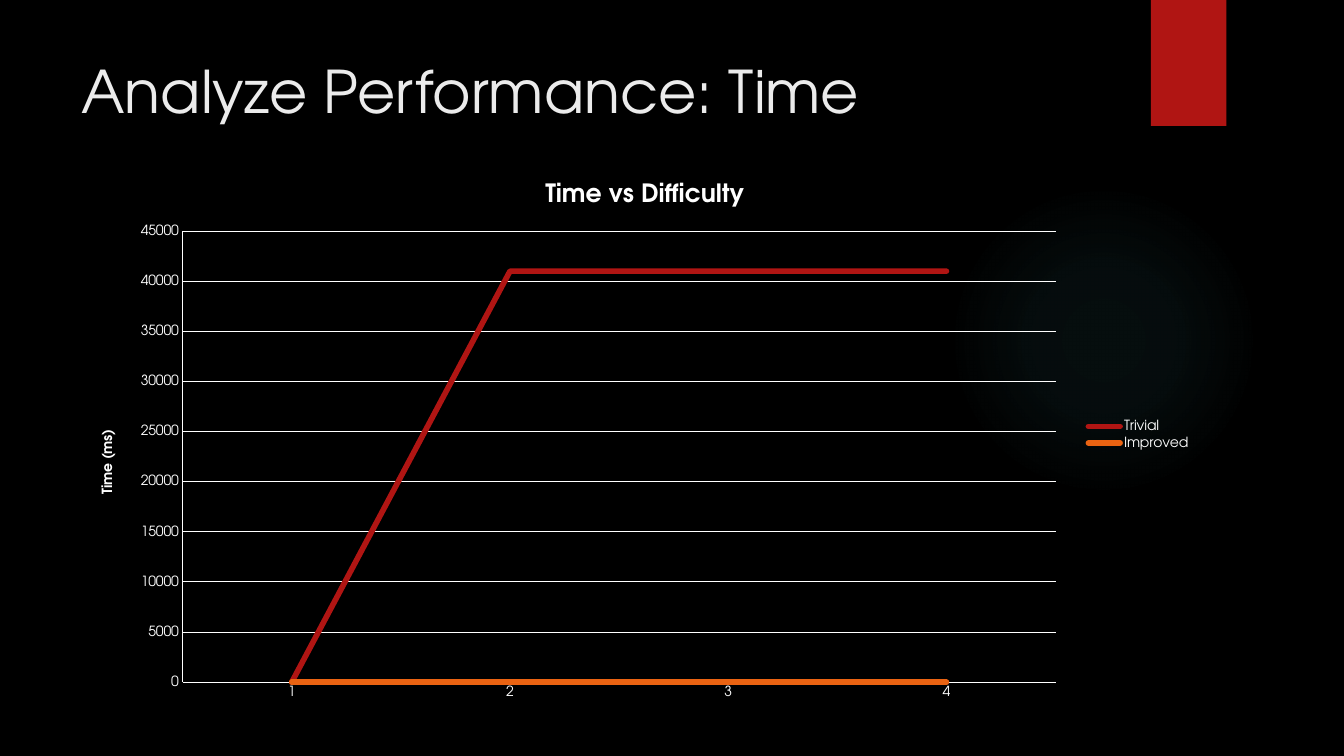
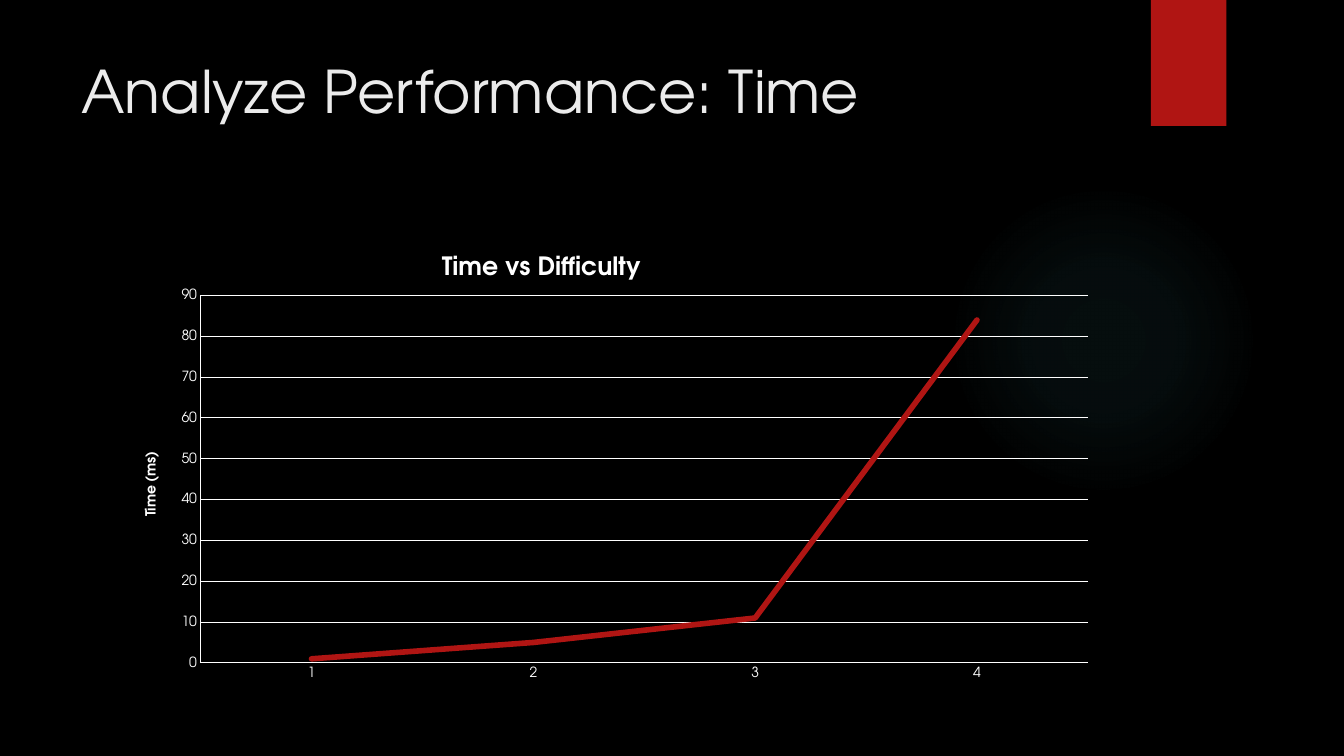
from lxml import etree
from pptx import Presentation
from pptx.chart.data import CategoryChartData
from pptx.dml.color import RGBColor
from pptx.enum.chart import XL_CHART_TYPE, XL_LEGEND_POSITION, XL_TICK_MARK
from pptx.enum.shapes import MSO_SHAPE
from pptx.enum.text import MSO_ANCHOR, MSO_AUTO_SIZE, PP_ALIGN
from pptx.oxml import parse_xml
from pptx.util import Emu, Pt

# Constants
LINE_CHART = XL_CHART_TYPE.LINE
LEGEND_RIGHT = XL_LEGEND_POSITION.RIGHT
NO_TICK = XL_TICK_MARK.NONE
ELLIPSE, RECTANGLE = MSO_SHAPE.OVAL, MSO_SHAPE.RECTANGLE
ALIGN_LEFT = PP_ALIGN.LEFT
TITLE_ONLY = 5
EMU_PER_PX = 9525
DRAWING = "http://schemas.openxmlformats.org/drawingml/2006/main"
CHART = "http://schemas.openxmlformats.org/drawingml/2006/chart"

# Shared look
FONT = "TeX Gyre Adventor"
BLACK, WHITE, OFF_WHITE = "000000", "FFFFFF", "EBEBEB"
RED, ORANGE, TEAL = "B01513", "EA6312", "50B9C1"
TITLE_FONT = {"name": FONT, "size": Pt(42), "bold": False}
CHART_FONT = {"name": FONT, "size": Pt(10), "bold": False}
CHART_TITLE_FONT = {"name": FONT, "size": Pt(18), "bold": True}
AXIS_TITLE_FONT = {"name": FONT, "size": Pt(10), "bold": True}
TITLE_FRAME = {"vertical_anchor": MSO_ANCHOR.TOP, "word_wrap": True,
               "auto_size": MSO_AUTO_SIZE.NONE}
NO_TICKS = {"major_tick_mark": NO_TICK, "minor_tick_mark": NO_TICK}


def px(length):
    return Emu(length * EMU_PER_PX)


def color(hex_string):
    return RGBColor.from_string(hex_string)


def apply(target, values):
    for name, value in values.items():
        setattr(target, name, value)


def apply_font(font, values, hex_string):
    apply(font, values)
    font.color.rgb = color(hex_string)


def paint_line(line, hex_string, width):
    line.color.rgb = color(hex_string)
    line.width = Pt(width)


def set_layout(parent, index, inner=False, **fractions):
    """Place a chart part by fractions of the chart's size."""
    for old in parent.xpath("./c:layout"):
        parent.remove(old)
    layout = etree.Element(f"{{{CHART}}}layout")
    manual = etree.SubElement(layout, f"{{{CHART}}}manualLayout")
    values = {"layoutTarget": "inner"} if inner else {}
    values.update(xMode="edge", yMode="edge", **fractions)
    for name, value in values.items():
        etree.SubElement(manual, f"{{{CHART}}}{name}", val=str(value))
    parent.insert(index, parse_xml(etree.tostring(layout)))


class Deck:
    def __init__(self):
        self.presentation = Presentation()
        self.presentation.slide_width = px(1280)
        self.presentation.slide_height = px(720)
        self.master = self.presentation.slide_master
        background = self.master.background.fill
        background.solid()
        background.fore_color.rgb = color(BLACK)
        self.slide = None

    def add_slide(self, title):
        layout = self.presentation.slide_layouts[TITLE_ONLY]
        self.slide = self.presentation.slides.add_slide(layout)
        self.title(title)

    def title(self, text):
        shape = self.slide.shapes.title
        apply(shape, {"left": px(68), "top": px(47),
                      "width": px(988), "height": px(147)})
        frame = shape.text_frame
        frame.text = text
        apply(frame, TITLE_FRAME)
        paragraph = frame.paragraphs[0]
        paragraph.alignment = ALIGN_LEFT
        apply_font(paragraph.runs[0].font, TITLE_FONT, OFF_WHITE)

    def shape(self, kind, left, top, width, height, fill):
        shape = self.slide.shapes.add_shape(
            kind, px(left), px(top), px(width), px(height))
        shape.shadow.inherit = False
        shape.fill.solid()
        shape.fill.fore_color.rgb = color(fill)
        shape.line.fill.background()
        return shape

    def glow(self, left, top, size, hex_string, stops):
        shape = self.shape(ELLIPSE, left, top, size, size, hex_string)
        stop_xml = "".join(
            f'<a:gs pos="{position * 1000}"><a:srgbClr val="{hex_string}">'
            f'<a:alpha val="{alpha * 1000}"/></a:srgbClr></a:gs>'
            for position, alpha in stops)
        gradient = parse_xml(
            f'<a:gradFill xmlns:a="{DRAWING}"><a:gsLst>{stop_xml}</a:gsLst>'
            '<a:path path="circle"><a:fillToRect l="50000" t="50000" '
            'r="50000" b="50000"/></a:path></a:gradFill>')
        solid = shape.element.xpath("./p:spPr/a:solidFill")[0]
        solid.getparent().replace(solid, gradient)
        return shape

    def ribbon(self, left, top, width, height):
        shape = self.shape(RECTANGLE, left, top, width, height, RED)
        shape.element.xpath("./p:spPr/a:effectLst")[0].append(parse_xml(
            f'<a:outerShdw xmlns:a="{DRAWING}" blurRad="{Pt(3)}" '
            f'dist="{Pt(2)}" dir="5400000" rotWithShape="0">'
            f'<a:srgbClr val="{BLACK}"><a:alpha val="45000"/></a:srgbClr>'
            '</a:outerShdw>'))
        return shape

    def move_to_master(self, shapes):
        """Put shapes behind the master's placeholders."""
        for index, shape in enumerate(shapes):
            properties = shape.element.xpath("./p:nvSpPr/p:cNvPr")[0]
            properties.set("id", str(100 + index))
            self.master.shapes.element.insert(2 + index, shape.element)

    def line_chart(self, box, series, maximum, step, plot_box, title_at,
                   legend=False):
        data = CategoryChartData()
        data.categories = ["1", "2", "3", "4"]
        for name, values, _ in series:
            data.add_series(name, values)
        chart = self.slide.shapes.add_chart(
            LINE_CHART, *map(px, box), data).chart
        apply_font(chart.font, CHART_FONT, WHITE)

        # Title and legend
        chart.has_title = True
        self.caption(chart.chart_title, "Time vs Difficulty", CHART_TITLE_FONT)
        chart.has_legend = legend
        if legend:
            chart.legend.position = LEGEND_RIGHT
            chart.legend.include_in_layout = False

        # Axes
        for axis in (chart.category_axis, chart.value_axis):
            apply(axis, NO_TICKS)
            paint_line(axis.format.line, WHITE, 0.75)
        value_axis = chart.value_axis
        apply(value_axis, {"minimum_scale": 0, "maximum_scale": maximum,
                           "major_unit": step, "has_major_gridlines": True})
        paint_line(value_axis.major_gridlines.format.line, WHITE, 0.75)
        self.caption(value_axis.axis_title, "Time (ms)", AXIS_TITLE_FONT)

        # Series
        plot = chart.plots[0]
        plot.vary_by_categories = False
        for line, (_, _, hex_string) in zip(plot.series, series):
            line.smooth = False
            paint_line(line.format.line, hex_string, 4)
        for outline in chart.element.xpath(".//c:ser/c:spPr/a:ln"):
            outline.set("cap", "rnd")

        # Placement inside the chart
        plot_area = chart.element.xpath("./c:chart/c:plotArea")[0]
        set_layout(plot_area, 0, inner=True, **dict(zip("xywh", plot_box)))
        chart_title = chart.element.xpath("./c:chart/c:title")[0]
        set_layout(chart_title, 1, **dict(zip("xy", title_at)))

    def caption(self, title, text, font):
        title.text_frame.text = text
        run = title.text_frame.paragraphs[0].runs[0]
        apply_font(run.font, font, WHITE)


def main():
    deck = Deck()
    heading = "Analyze Performance: Time"

    # Both methods
    deck.add_slide(heading)
    deck.move_to_master([
        deck.glow(903, 176, 296, TEAL, [(0, 7), (36, 6), (69, 0)]),
        deck.ribbon(1096, 0, 72, 120),
    ])
    deck.line_chart(
        (78, 152, 1066, 524),
        [("Trivial", [0, 41000, 41000, 41000], RED),
         ("Improved", [0, 0, 0, 0], ORANGE)],
        maximum=45000, step=5000, plot_box=(0.09, 0.13, 0.78, 0.82),
        title_at=(0.41, 0.03), legend=True)

    # Improved method alone
    deck.add_slide(heading)
    deck.line_chart(
        (116, 215, 939, 443), [("Series 1", [1, 5, 11, 84], RED)],
        maximum=90, step=10, plot_box=(0.08, 0.15, 0.9, 0.79),
        title_at=(0.32, 0.05))

    deck.presentation.save("out.pptx")


if __name__ == "__main__":
    main()
